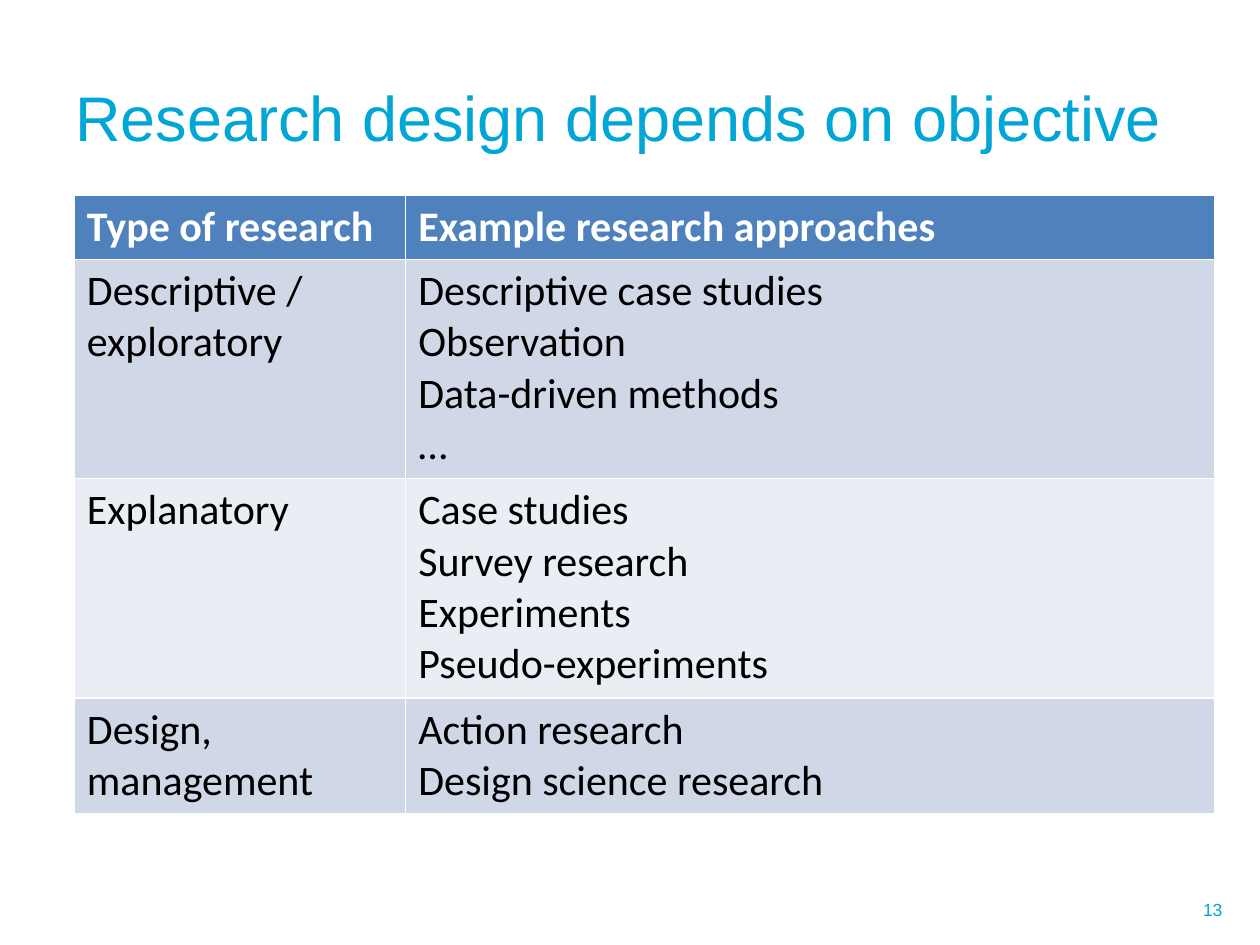
"""Build a slide with a table that pairs research types with approaches."""
from pptx import Presentation
from pptx.dml.color import RGBColor
from pptx.enum.text import MSO_ANCHOR, PP_ALIGN
from pptx.util import Inches, Pt

LEFT, RIGHT = PP_ALIGN.LEFT, PP_ALIGN.RIGHT
MIDDLE = MSO_ANCHOR.MIDDLE

WIDE, HIGH = 10, 7.5
TITLE = "Research design depends on objective"
PAGE = "13"
ROWS = [
    ("Type of research", ["Example research approaches"]),
    ("Descriptive / exploratory",
     ["Descriptive case studies", "Observation", "Data-driven methods", "…"]),
    ("Explanatory",
     ["Case studies", "Survey research", "Experiments", "Pseudo-experiments"]),
    ("Design, management", ["Action research", "Design science research"]),
]
THEME = {
    "title": {"name": "Arial", "size": Pt(36), "color": "00A6D6"},
    "page": {"name": "Arial", "size": Pt(10), "color": "00A6D6"},
    "head": {"name": "Calibri", "size": Pt(24), "bold": True, "color": "FFFFFF"},
    "body": {"name": "Calibri", "size": Pt(24), "bold": False, "color": "000000"},
    "fills": ["4F81BD", "D0D8E8", "E9EDF4"],
}
TABLE = (0.59, 1.55)
COLS = (2.63, 6.42)
LINE, PAD = 0.41, 0.1


def write(frame, lines, style, align=LEFT):
    for i, line in enumerate(lines):
        para = frame.paragraphs[0] if i == 0 else frame.add_paragraph()
        para.alignment = align
        run = para.add_run()
        run.text = line
        for key, value in THEME[style].items():
            if key == "color":
                run.font.color.rgb = RGBColor.from_string(value)
            else:
                setattr(run.font, key, value)


def label(slide, text, box, style, align=LEFT):
    frame = slide.shapes.add_textbox(*map(Inches, box)).text_frame
    frame.word_wrap = True
    frame.vertical_anchor = MIDDLE
    write(frame, [text], style, align)


def grid(slide):
    highs = [LINE * len(items) + PAD for _, items in ROWS]
    box = (*TABLE, sum(COLS), sum(highs))
    table = slide.shapes.add_table(len(ROWS), len(COLS), *map(Inches, box)).table
    for col, wide in zip(table.columns, COLS):
        col.width = Inches(wide)
    for i, (kind, items) in enumerate(ROWS):
        table.rows[i].height = Inches(highs[i])
        shade = THEME["fills"][0 if i == 0 else 2 - i % 2]
        for j, lines in enumerate(([kind], items)):
            cell = table.cell(i, j)
            cell.fill.solid()
            cell.fill.fore_color.rgb = RGBColor.from_string(shade)
            write(cell.text_frame, lines, "body" if i else "head")


def main():
    deck = Presentation()
    deck.slide_width, deck.slide_height = Inches(WIDE), Inches(HIGH)
    slide = deck.slides.add_slide(deck.slide_layouts[6])
    label(slide, PAGE, (7.27, 7.02, 2.53, 0.4), "page", RIGHT)
    label(slide, TITLE, (0.5, 0.3, 9.14, 1.25), "title")
    grid(slide)
    deck.save("out.pptx")


if __name__ == "__main__":
    main()
